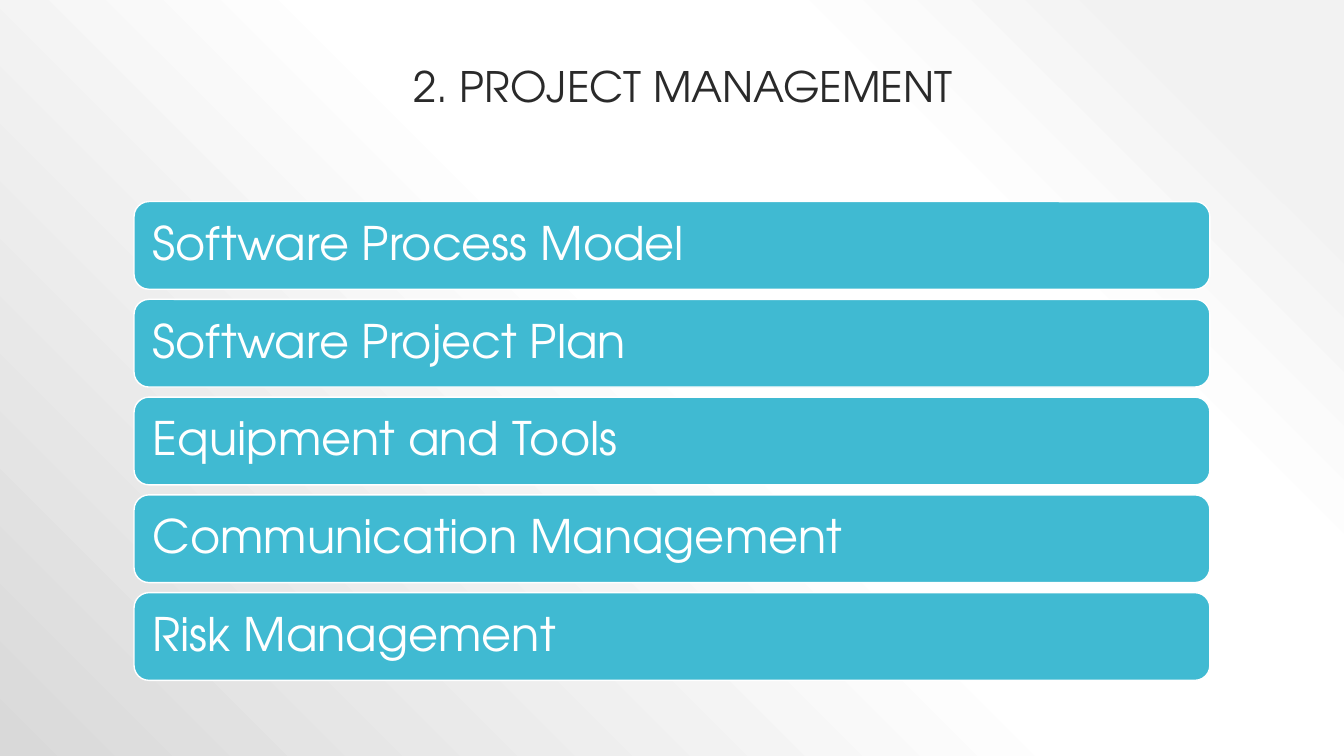
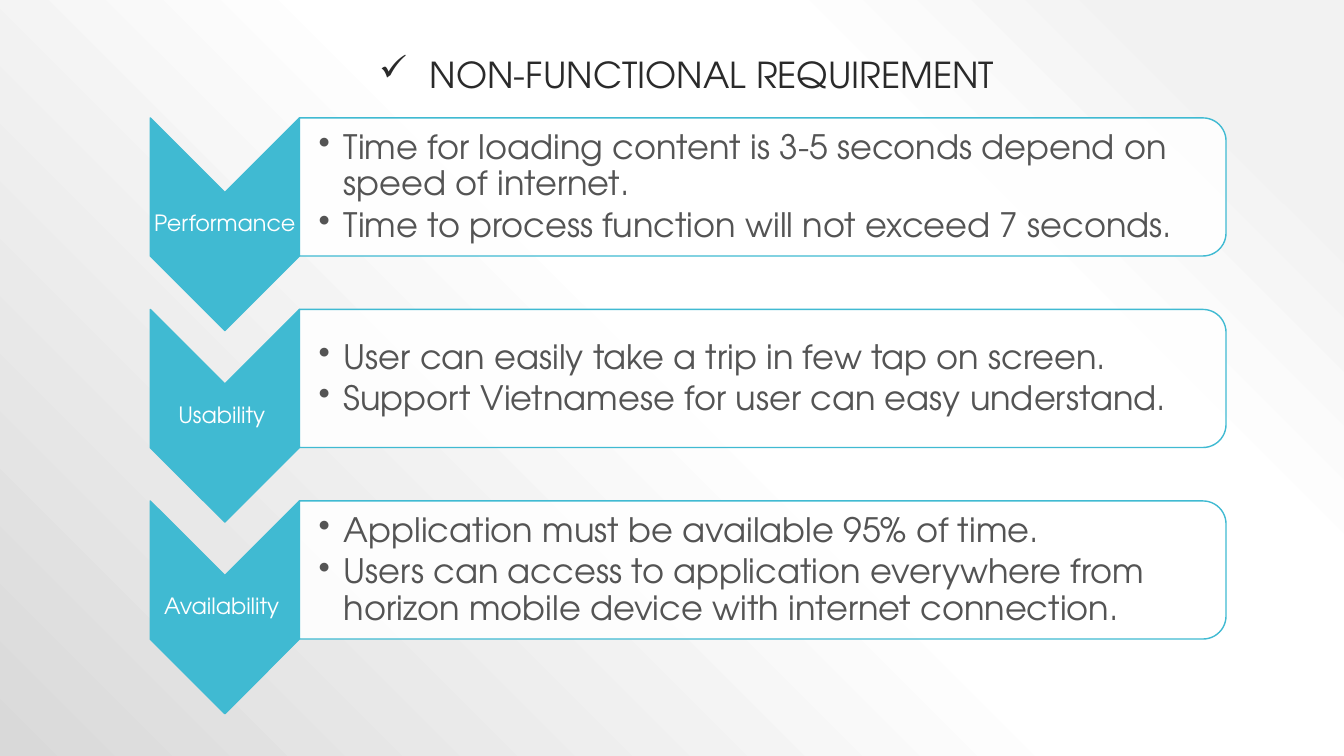
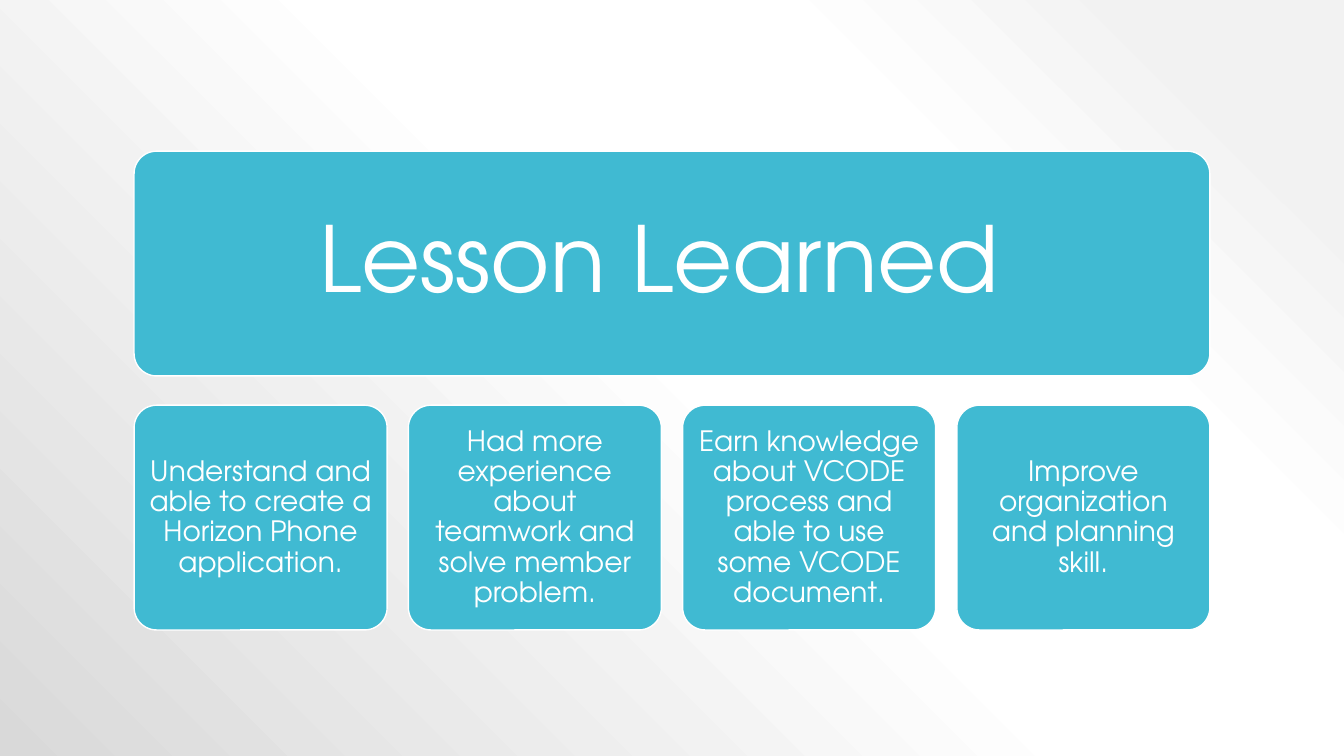
import pptx
import pptx.util
import pptx.dml.color
import pptx.enum.shapes
import pptx.enum.text
import pptx.oxml
import pptx.oxml.ns

Inches = pptx.util.Inches
Pt = pptx.util.Pt
SHAPE = pptx.enum.shapes.MSO_SHAPE
ALIGN = pptx.enum.text.PP_ALIGN
ANCHOR = pptx.enum.text.MSO_ANCHOR
NS = pptx.oxml.ns.nsdecls("a")

FONT = "TeX Gyre Adventor"
TEAL, WHITE, INK, BODY = "40BAD2", "FFFFFF", "2A2A2A", "545454"
BACKDROP = [(10, "F2F2F2"), (28, WHITE), (48, WHITE), (100, "D9D9D9")]
TITLE_ONLY, BLANK = 5, 6


def color(hex_code):
    return pptx.dml.color.RGBColor.from_string(hex_code)


def set_backdrop(master):
    master.background.fill.gradient()
    gradient = master.element.find(".//" + pptx.oxml.ns.qn("a:gradFill"))
    for child in list(gradient):
        gradient.remove(child)
    stops = "".join(
        f'<a:gs pos="{percent * 1000}"><a:srgbClr val="{hex_code}"/></a:gs>'
        for percent, hex_code in BACKDROP)
    gradient.append(pptx.oxml.parse_xml(f"<a:gsLst {NS}>{stops}</a:gsLst>"))
    gradient.append(pptx.oxml.parse_xml(
        f'<a:path {NS} path="circle"><a:fillToRect l="100000" b="100000"/></a:path>'))


def add_bullet(paragraph, mark, indent):
    properties = paragraph._p.get_or_add_pPr()
    properties.set("marL", str(Inches(indent)))
    properties.set("indent", str(-Inches(indent)))
    properties.append(pptx.oxml.parse_xml(f'<a:buChar {NS} char="{mark}"/>'))


def write(frame, lines, size, hex_code, align=ALIGN.LEFT, anchor=ANCHOR.MIDDLE,
          insets=(0.1, 0.05, 0.1, 0.05), spacing=0.9, after=0, bullet=None, indent=0.25):
    frame.word_wrap = True
    frame.auto_size = pptx.enum.text.MSO_AUTO_SIZE.NONE
    frame.vertical_anchor = anchor
    (frame.margin_left, frame.margin_top,
     frame.margin_right, frame.margin_bottom) = map(Inches, insets)
    for index, line in enumerate(lines):
        paragraph = frame.add_paragraph() if index else frame.paragraphs[0]
        paragraph.alignment = align
        paragraph.line_spacing = spacing
        paragraph.space_after = Pt(round(after * size, 1))
        if bullet:
            add_bullet(paragraph, bullet, indent)
        run = paragraph.add_run()
        run.text = line
        run.font.size = Pt(size)
        run.font.name = FONT
        run.font.color.rgb = color(hex_code)


def add_title(slide, box, text, size, **style):
    title = slide.shapes.title
    title.left, title.top, title.width, title.height = map(Inches, box)
    write(title.text_frame, [text], size, INK, anchor=ANCHOR.BOTTOM, **style)


def add_outline(slide, preset, box, fill, line):
    outline = slide.shapes.add_shape(preset, *map(Inches, box))
    outline.shadow.inherit = False
    outline.fill.solid()
    outline.fill.fore_color.rgb = color(fill)
    outline.line.color.rgb = color(line)
    outline.line.width = Pt(1)
    return outline


def add_turned(slide, preset, box, fill):
    left, top, width, height = box
    shift = (width - height) / 2
    turned = add_outline(slide, preset, (left + shift, top - shift, height, width), fill, TEAL)
    turned.rotation = 90
    return turned


def add_label(slide, box, lines, size, hex_code, **style):
    label = slide.shapes.add_textbox(*map(Inches, box))
    write(label.text_frame, lines, size, hex_code, **style)


def add_card(slide, box, text, size, inset, corner, align=ALIGN.CENTER):
    card = add_outline(slide, SHAPE.ROUNDED_RECTANGLE, box, TEAL, WHITE)
    card.adjustments[0] = corner
    write(card.text_frame, [text], size, WHITE, align=align, insets=(inset,) * 4, after=0.35)


def add_topic_list(slide, box, topics):
    left, top, width, height = box
    bar_height = 0.87
    pitch = (height - bar_height) / (len(topics) - 1)
    for index, topic in enumerate(topics):
        add_card(slide, (left, top + index * pitch, width, bar_height),
                 topic, 33, 0.14, 0.17, ALIGN.LEFT)


def add_requirement(slide, box, name, details):
    left, top, width, height = box
    arrow_width, panel_height = 1.48, 1.37
    panel_left, panel_width = left + arrow_width, width - arrow_width
    add_turned(slide, SHAPE.CHEVRON, (left, top, arrow_width, height), TEAL)
    add_label(slide, (left, top + arrow_width / 2, arrow_width, height - arrow_width),
              [name], 16, WHITE, align=ALIGN.CENTER, insets=(0.01,) * 4, after=0.35)
    panel = add_turned(slide, SHAPE.ROUND_2_SAME_RECTANGLE,
                       (panel_left, top, panel_width, panel_height), WHITE)
    tint = panel.fill._xPr.find(".//" + pptx.oxml.ns.qn("a:srgbClr"))
    tint.append(pptx.oxml.parse_xml(f'<a:alpha {NS} val="90000"/>'))
    add_label(slide, (panel_left, top + 0.07, panel_width - 0.07, panel_height - 0.13),
              details, 24, BODY, insets=(0.19, 0.02, 0.02, 0.02), after=0.15, bullet="•")


def add_lessons(slide, box, heading, lessons):
    left, top, width, height = box
    card_height, card_width = 2.23, 2.51
    add_card(slide, (left, top, width, card_height), heading, 65, 0.27, 0.1)
    pitch = (width - card_width) / (len(lessons) - 1)
    for index, lesson in enumerate(lessons):
        add_card(slide, (left + index * pitch, top + height - card_height, card_width, card_height),
                 lesson, 20, 0.08, 0.1)


def build_management(deck):
    slide = deck.slides.add_slide(deck.slide_layouts[TITLE_ONLY])
    add_title(slide, (4, 0.33, 5.92, 0.83), "2. PROJECT MANAGEMENT", 30)
    add_topic_list(slide, (1.33, 2, 10.67, 4.75), [
        "Software Process Model", "Software Project Plan", "Equipment and Tools",
        "Communication Management", "Risk Management"])


def build_requirements(deck):
    requirements = [
        ("Performance ", ["Time for loading content is 3-5 seconds depend on speed of internet.",
                          "Time to process function will not exceed 7 seconds."]),
        ("Usability ", ["User can easily take a trip in few tap on screen.",
                        "Support Vietnamese for user can easy understand."]),
        ("Availability ", ["Application must be available 95% of time.",
                           "Users can access to application everywhere from "
                           "horizon mobile device with internet connection."]),
    ]
    slide = deck.slides.add_slide(deck.slide_layouts[TITLE_ONLY])
    for index, (name, details) in enumerate(requirements):
        add_requirement(slide, (1.49, 1.17 + index * 1.9, 10.67, 2.11), name, details)
    add_title(slide, (3.66, 0.33, 6.5, 0.67), "NON-FUNCTIONAL REQUIREMENT ", 25.5,
              spacing=0.8, bullet="✓", indent=0.5)


def build_lessons(deck):
    slide = deck.slides.add_slide(deck.slide_layouts[BLANK])
    add_lessons(slide, (1.33, 1.5, 10.67, 4.75), "Lesson Learned ", [
        "Understand and able to create a Horizon Phone application.",
        "Had more experience about teamwork and solve member problem.",
        "Earn knowledge about VCODE process and able to use some VCODE document.",
        "Improve organization and planning skill."])


deck = pptx.Presentation()
deck.slide_width, deck.slide_height = Inches(13.33), Inches(7.5)
set_backdrop(deck.slide_master)
build_management(deck)
build_requirements(deck)
build_lessons(deck)
deck.save("out.pptx")
